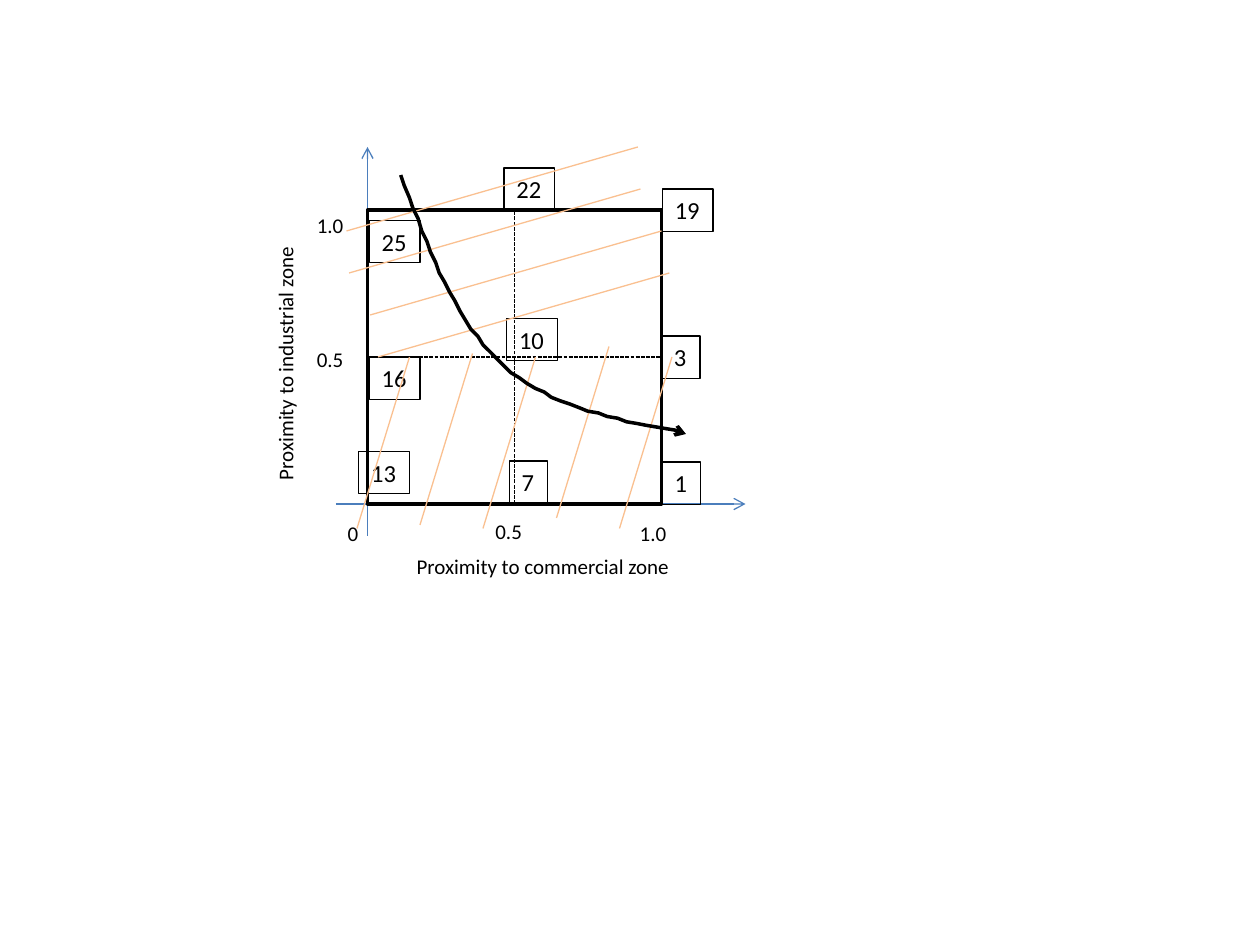
from typing import NamedTuple

from lxml.etree import SubElement
from pptx import Presentation
from pptx.dml.color import RGBColor
from pptx.enum.dml import MSO_LINE
from pptx.enum.shapes import MSO_CONNECTOR, MSO_SHAPE
from pptx.enum.text import MSO_AUTO_SIZE
from pptx.oxml.ns import qn
from pptx.util import Pt

BLACK, AXIS_BLUE, HATCH_ORANGE = "000000", "4B7EBC", "FAC090"
LEFT, TOP, SIDE = 210, 120, 168
BOTTOM = TOP + SIDE
MIDDLE_X, MIDDLE_Y = LEFT + SIDE / 2, TOP + SIDE / 2


class Point(NamedTuple):
    x: float
    y: float


class Label(NamedTuple):
    text: str
    left: float
    top: float
    width: float
    rotation: float = 0


SCORES = [
    Label("3", 378, 192, 22), Label("1", 378.5, 264, 22),
    Label("19", 378.5, 108, 29), Label("22", 288, 96, 29),
    Label("10", 289.5, 182, 29), Label("7", 291, 263.5, 22),
    Label("25", 211, 126, 29), Label("16", 211, 204, 29),
    Label("13", 205, 258, 29),
]
CAPTIONS = [
    Label("Proximity to commercial zone", 231, 313, 160.5),
    Label("0", 191.5, 294, 21),
    Label("0.5", 276, 293, 30), Label("1.0", 358.5, 294, 30),
    Label("0.5", 174, 194.5, 30), Label("1.0", 174, 118, 30),
    Label("Proximity to industrial zone", 88.5, 196, 149, 270),
]


def rgb(color: str) -> RGBColor:
    return RGBColor.from_string(color)


def style_line(shape, color: str, width: float, arrow: bool = False) -> None:
    shape.line.color.rgb = rgb(color)
    shape.line.width = Pt(width)
    if arrow:
        SubElement(shape.line._get_or_add_ln(), qn("a:tailEnd"), type="arrow")


def add_line(page, start: Point, end: Point, color: str, arrow: bool = False):
    line = page.shapes.add_connector(
        MSO_CONNECTOR.STRAIGHT, Pt(start.x), Pt(start.y), Pt(end.x), Pt(end.y))
    style_line(line, color, 0.75, arrow)
    SubElement(line._element.spPr, qn("a:effectLst"))
    return line


def add_label(page, label: Label, size: float, height: float, framed: bool = False) -> None:
    box = page.shapes.add_textbox(
        Pt(label.left), Pt(label.top), Pt(label.width), Pt(height))
    box.rotation = label.rotation
    frame = box.text_frame
    frame.text = label.text
    frame.word_wrap = False
    frame.auto_size = MSO_AUTO_SIZE.SHAPE_TO_FIT_TEXT
    font = frame.paragraphs[0].runs[0].font
    font.name, font.size = "Calibri", Pt(size)
    font.color.rgb = rgb(BLACK)
    if framed:
        style_line(box, BLACK, 0.75)


def bezier(controls: list[Point], steps: int = 20) -> list[tuple[float, float]]:
    """Points along a cubic curve, without its start."""
    def blend(t: float, values: list[float]) -> float:
        a, b, c, d = values
        u = 1 - t
        return u**3 * a + 3 * u**2 * t * b + 3 * u * t**2 * c + t**3 * d

    xs, ys = [p.x for p in controls], [p.y for p in controls]
    return [(blend(i / steps, xs), blend(i / steps, ys)) for i in range(1, steps + 1)]


def main() -> None:
    deck = Presentation()
    deck.slide_width, deck.slide_height = Pt(720), Pt(540)
    page = deck.slides.add_slide(deck.slide_layouts[6])

    # Axes
    add_line(page, Point(192, BOTTOM), Point(426, BOTTOM), AXIS_BLUE, arrow=True)
    add_line(page, Point(LEFT, 306), Point(LEFT, 84), AXIS_BLUE, arrow=True)

    # Unit square with its dashed middle lines
    square = page.shapes.add_shape(
        MSO_SHAPE.RECTANGLE, Pt(LEFT), Pt(TOP), Pt(SIDE), Pt(SIDE))
    square.shadow.inherit = False
    square.fill.background()
    style_line(square, BLACK, 2)
    middles = [
        (Point(LEFT, MIDDLE_Y), 1, Point(LEFT + SIDE, MIDDLE_Y), 3),
        (Point(MIDDLE_X, BOTTOM), 2, Point(MIDDLE_X, TOP), 0),
    ]
    for start, start_site, end, end_site in middles:
        line = add_line(page, start, end, BLACK)
        line.line.dash_style = MSO_LINE.SQUARE_DOT
        line.begin_connect(square, start_site)
        line.end_connect(square, end_site)

    # Scores
    for score in SCORES:
        add_label(page, score, 14, 24.2, framed=True)

    # Hatching: flat lines above, steep lines below
    for row, x in enumerate([198, 199.5, 211.5, 216]):
        y = 132 + 24 * row
        add_line(page, Point(x, y), Point(x + 166.5, y - 48), HATCH_ORANGE)
    for x, y in [(204, 302), (240, 300), (276, 302), (318, 296), (354, 302)]:
        add_line(page, Point(x, y), Point(x + 30, y - 98), HATCH_ORANGE)

    # Trade-off curve
    start, joint, end = Point(229, 100), Point(288, 209), Point(392.5, 247.5)
    builder = page.shapes.build_freeform(start.x, start.y, scale=Pt(1))
    builder.add_line_segments(
        bezier([start, Point(245, 142.5), Point(260.5, 184.5), joint])
        + bezier([joint, Point(315.5, 233.5), Point(354, 240.5), end]),
        close=False)
    curve = builder.convert_to_shape()
    curve.shadow.inherit = False
    curve.fill.background()
    style_line(curve, BLACK, 2, arrow=True)

    # Axis titles and tick labels
    for caption in CAPTIONS:
        add_label(page, caption, 12, 21.8)

    deck.save("out.pptx")


if __name__ == "__main__":
    main()
